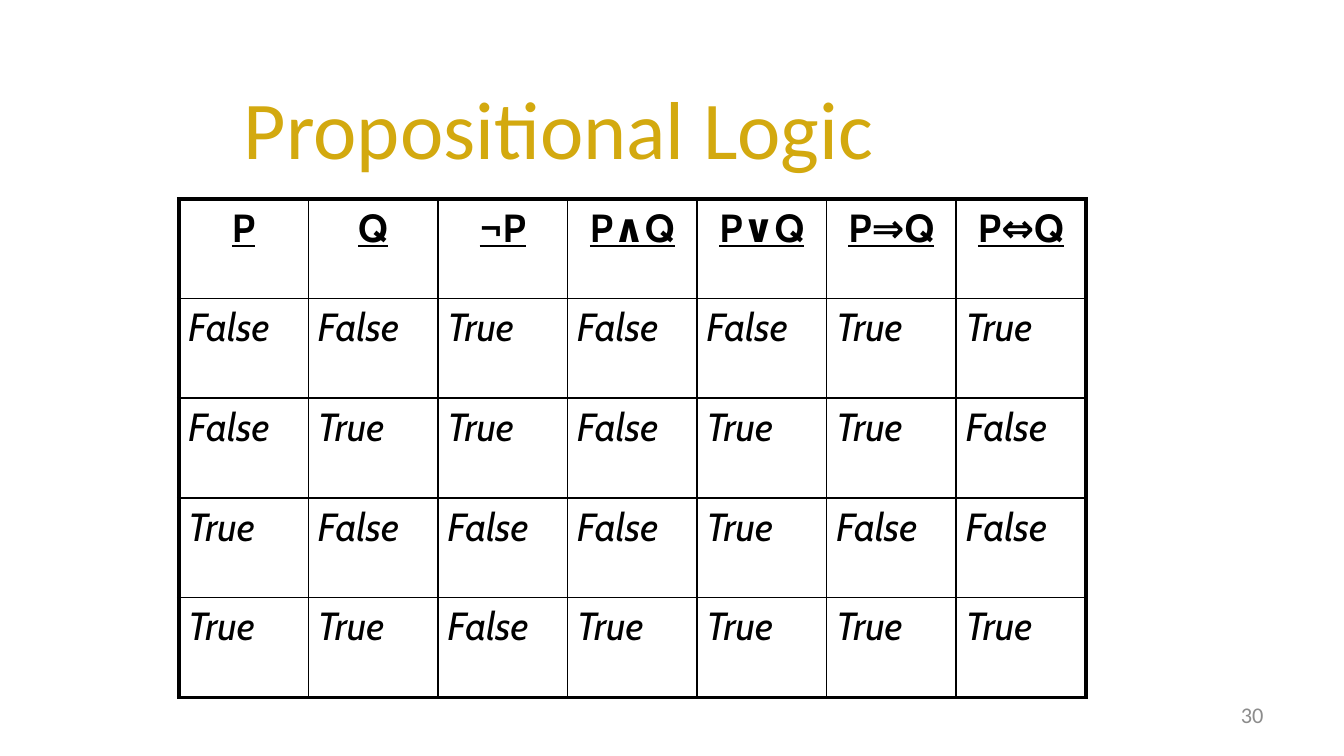
from itertools import product

from lxml.etree import SubElement
from pptx import Presentation
from pptx.dml.color import RGBColor
from pptx.enum.text import MSO_ANCHOR as Anchor, PP_ALIGN as Align
from pptx.oxml.ns import qn
from pptx.util import Inches, Pt

BLACK, GOLD, GRAY = "000000", "D3A90F", "8C8C8C"
THIN, THICK = 1, 2.25


def color(hex_string):
    return RGBColor.from_string(hex_string)


class LogicSlide:
    heading_font = "Calibri"
    table_font = "Cabin"

    def __init__(self, deck):
        self.slide = deck.slides.add_slide(deck.slide_layouts[5])

    def format(self, paragraph, font_name, size, hex_string, align):
        paragraph.alignment = align
        font = paragraph.font
        font.name, font.size = font_name, Pt(size)
        font.color.rgb = color(hex_string)
        return font

    def title(self, text, left, top, width, height):
        title = self.slide.shapes.title
        title.left, title.top = Inches(left), Inches(top)
        title.width, title.height = Inches(width), Inches(height)
        title.text_frame.text = text
        title.text_frame.vertical_anchor = Anchor.MIDDLE
        self.format(title.text_frame.paragraphs[0], self.heading_font, 44, GOLD, Align.CENTER)

    def page_number(self, text, left, top, width, height):
        number = self.slide.shapes.add_textbox(
            Inches(left), Inches(top), Inches(width), Inches(height))
        frame = number.text_frame
        frame.word_wrap = True
        frame.vertical_anchor = Anchor.MIDDLE
        frame.text = text
        self.format(frame.paragraphs[0], self.heading_font, 12, GRAY, Align.RIGHT)

    def border(self, cell, side, width):
        line = SubElement(cell._tc.get_or_add_tcPr(), qn(f"a:ln{side}"), w=str(Pt(width)))
        fill = SubElement(line, qn("a:solidFill"))
        SubElement(fill, qn("a:srgbClr"), val=BLACK)

    def table(self, rows, left, top, width, height):
        row_count, column_count = len(rows), len(rows[0])
        grid = self.slide.shapes.add_table(
            row_count, column_count,
            Inches(left), Inches(top), Inches(width), Inches(height)).table
        for r, row in enumerate(rows):
            for c, text in enumerate(row):
                cell = grid.cell(r, c)
                cell.text = text
                cell.margin_left = cell.margin_right = Inches(0.07)
                cell.margin_top = cell.margin_bottom = Inches(0.04)

                # Header is bold and underlined, truth values are italic
                is_header = r == 0
                paragraph = cell.text_frame.paragraphs[0]
                paragraph.space_before = Pt(4.2)
                font = self.format(paragraph, self.table_font, 21, BLACK,
                                   Align.CENTER if is_header else Align.LEFT)
                font.bold = font.underline = is_header
                font.italic = not is_header

                # Thick frame outside, thin rules inside
                outer = {"L": c == 0, "R": c == column_count - 1,
                         "T": r == 0, "B": r == row_count - 1}
                for side, is_outer in outer.items():
                    self.border(cell, side, THICK if is_outer else THIN)
                cell.fill.background()


def truth_rows():
    header = ["P", "Q", "¬P", "P∧Q", "P∨Q", "P⇒Q", "P⇔Q"]
    values = [(p, q, not p, p and q, p or q, not p or q, p == q)
              for p, q in product((False, True), repeat=2)]
    return [header] + [[str(value) for value in row] for row in values]


def main():
    deck = Presentation()
    # Widescreen, 16:9
    deck.slide_width = Inches(10)
    deck.slide_height = deck.slide_width * 9 // 16
    logic = LogicSlide(deck)
    logic.page_number("30", 7.17, 5.12, 2.33, 0.39)
    logic.title("Propositional Logic", -0.34, 0.47, 9, 0.94)
    logic.table(truth_rows(), 1.33, 1.48, 6.75, 3.71)
    deck.save("out.pptx")


if __name__ == "__main__":
    main()
